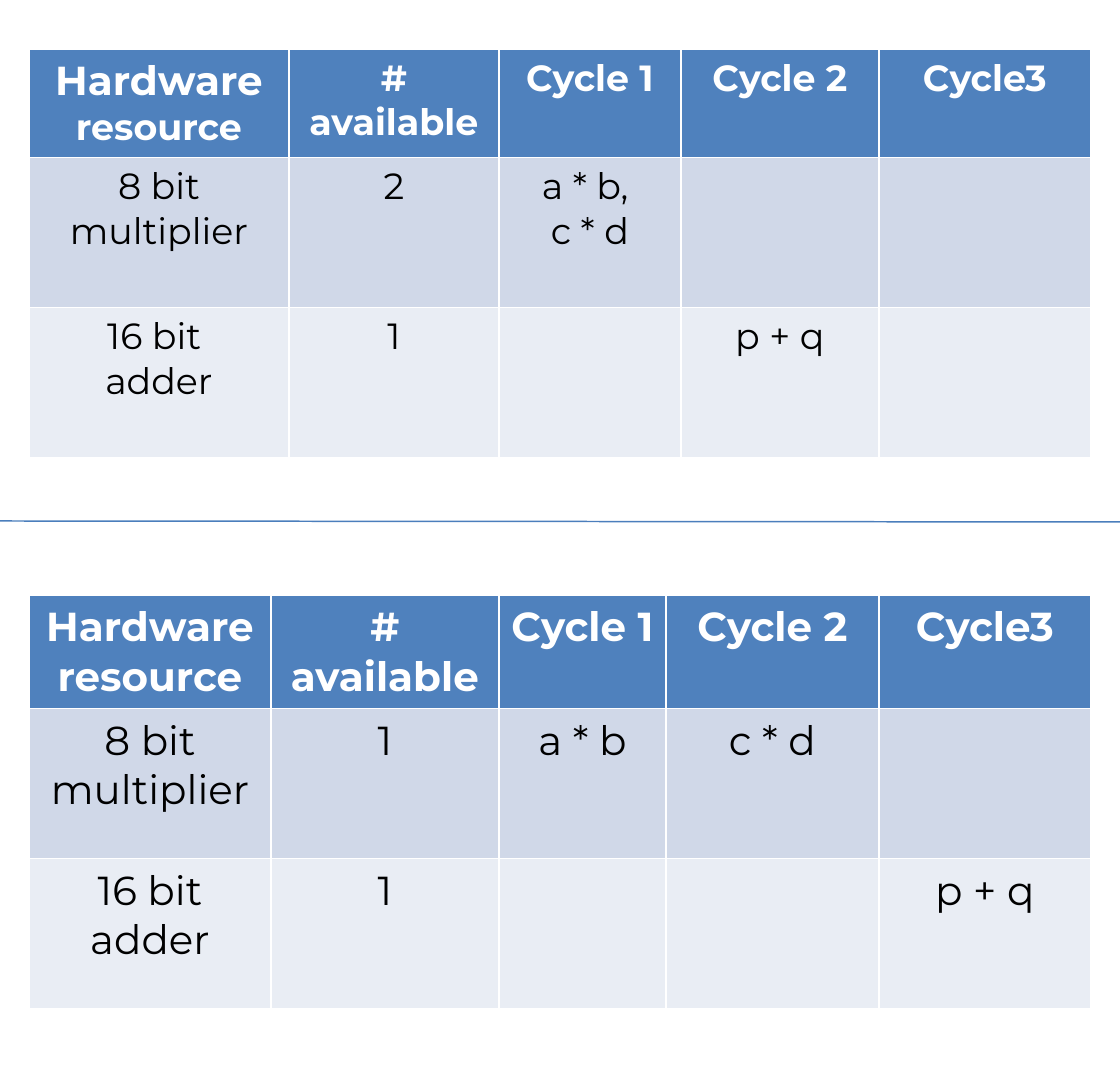
import pptx
import pptx.util
import pptx.dml.color
import pptx.enum.shapes
import pptx.enum.text
import pptx.oxml

HEADS = ["Hardware resource", "# available", "Cycle 1", "Cycle 2", "Cycle3"]
PLANS = [
    {
        "top": 49, "size": 18, "cols": [260, 210, 182, 198, 212],
        "rows": [108, 150, 150],
        "cells": [
            HEADS,
            ["8 bit\nmultiplier", "2", "a * b, \nc * d", "", ""],
            ["16 bit \nadder", "1", "", "p + q", ""],
        ],
    },
    {
        "top": 595, "size": 20, "cols": [242, 228, 167, 213, 212],
        "rows": [112, 150, 150],
        "cells": [
            HEADS,
            ["8 bit\nmultiplier", "1", "a * b", "c * d", ""],
            ["16 bit adder", "1", "", "", "p + q"],
        ],
    },
]
LEFT = 29
WIDE, HIGH = 1120, 1091
RULE = (0, 521, WIDE, 522)
THEME = {
    "font": "Montserrat", "lead": 20, "rule": "4B7EBC", "weight": 0.75,
    "fills": ["4F81BD", "D0D8E8", "E9EDF4"],
    "inks": ["FFFFFF", "000000", "000000"],
}


def px(n):
    """Turn picture pixels into EMU."""
    return pptx.util.Emu(round(n * 914400 / 145.5))


def rgb(code):
    """Turn a hex code into a colour."""
    return pptx.dml.color.RGBColor.from_string(code)


def fill_cell(cell, text, row, size):
    """Write one cell in the colours of its row."""
    cell.fill.solid()
    cell.fill.fore_color.rgb = rgb(THEME["fills"][row])
    cell.margin_left = cell.margin_right = pptx.util.Inches(0.08)
    cell.text = text
    for para in cell.text_frame.paragraphs:
        para.alignment = pptx.enum.text.PP_ALIGN.CENTER
        font = para.font
        font.name = THEME["font"]
        font.size = pptx.util.Pt(size)
        font.bold = row == 0
        font.color.rgb = rgb(THEME["inks"][row])


def raise_lead(cell):
    """Set the first word of a cell in the lead size."""
    para = cell.text_frame.paragraphs[0]
    lead, rest = para.text.split(" ", 1)
    para.runs[0].text = lead
    para.runs[0].font.size = pptx.util.Pt(THEME["lead"])
    para.add_run().text = " " + rest


def add_plan(slide, plan):
    """Add one table of resources by cycle."""
    cols, rows = plan["cols"], plan["rows"]
    table = slide.shapes.add_table(
        len(rows), len(cols), px(LEFT), px(plan["top"]),
        px(sum(cols)), px(sum(rows))).table
    for col, width in zip(table.columns, cols):
        col.width = px(width)
    for row, height in zip(table.rows, rows):
        row.height = px(height)
    for r, texts in enumerate(plan["cells"]):
        for c, text in enumerate(texts):
            fill_cell(table.cell(r, c), text, r, plan["size"])
    if plan["size"] != THEME["lead"]:
        raise_lead(table.cell(0, 0))


def add_rule(slide):
    """Add the line between the two tables."""
    line = slide.shapes.add_connector(
        pptx.enum.shapes.MSO_CONNECTOR.STRAIGHT, *map(px, RULE))
    line.line.color.rgb = rgb(THEME["rule"])
    line.line.width = pptx.util.Pt(THEME["weight"])
    props = line._element.spPr
    props.append(props.makeelement(pptx.oxml.ns.qn("a:effectLst"), {}))


deck = pptx.Presentation()
deck.slide_width, deck.slide_height = px(WIDE), px(HIGH)
slide = deck.slides.add_slide(deck.slide_layouts[6])
for plan in PLANS:
    add_plan(slide, plan)
add_rule(slide)
deck.save("out.pptx")
